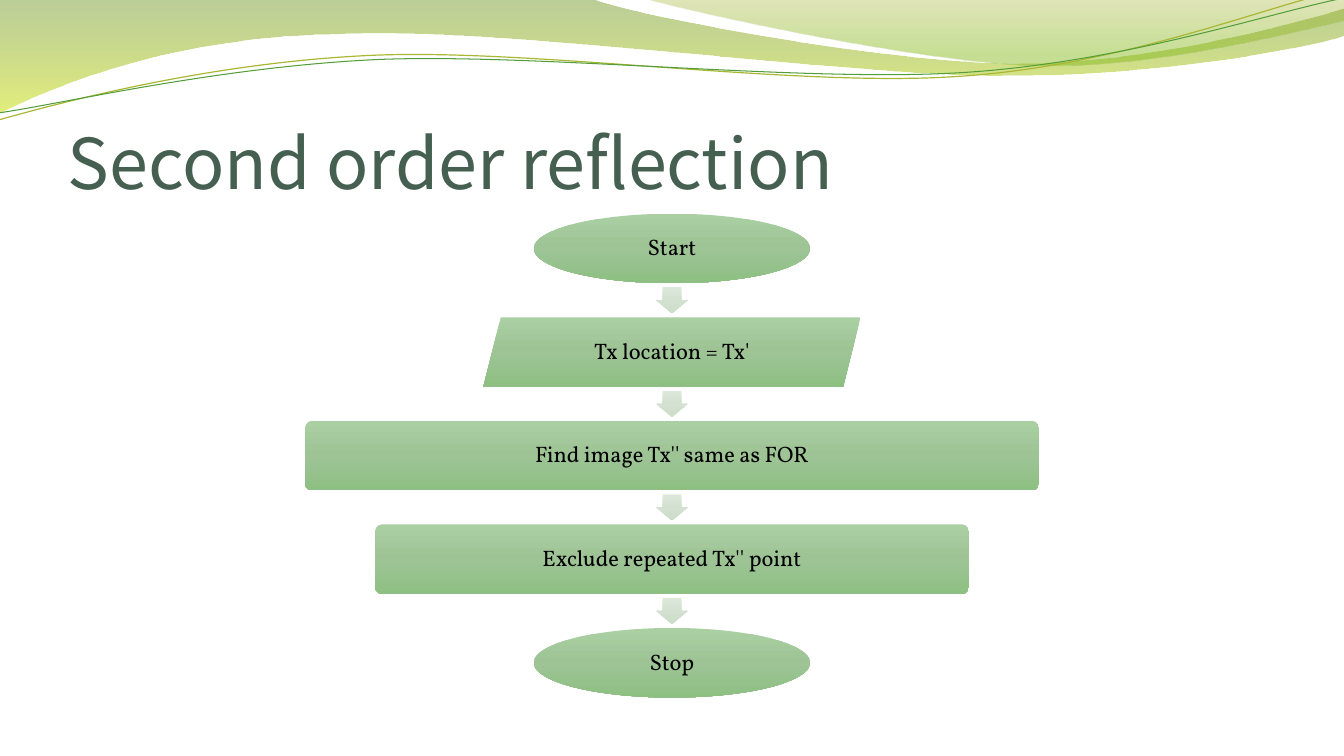
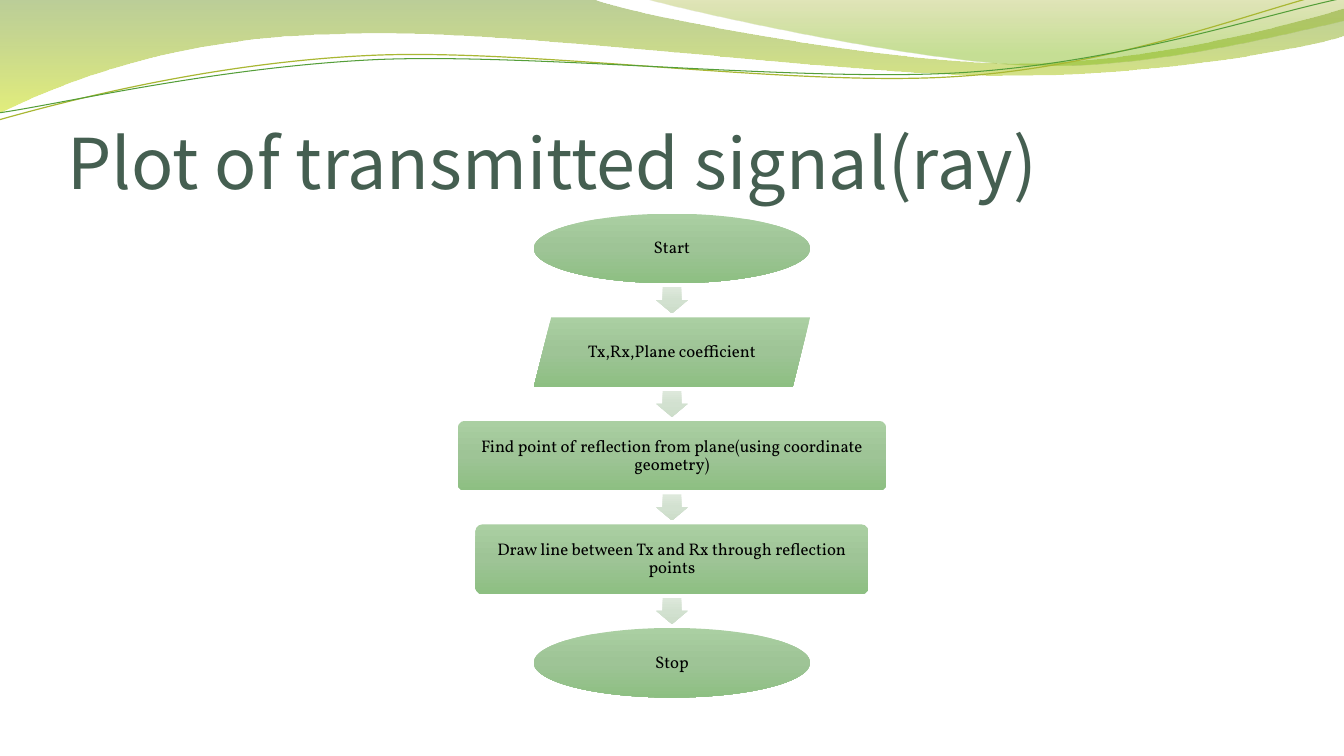
import math

import pptx
import pptx.dml.color
import pptx.enum.shapes
import pptx.enum.text
import pptx.oxml
import pptx.oxml.ns
import pptx.util

# Shared measures, 100 px to the inch
EMU_PER_PX = 9144
SLIDE_WIDTH, SLIDE_HEIGHT = 1333, 750
FIRST_TOP, LAST_TOP = 212, 623
STEP_HEIGHT = 69
ARROW_WIDTH, ARROW_HEIGHT = 31, 26

# Shared look
TITLE_FONT, BODY_FONT = "Noto Sans CJK SC", "Vollkorn"
TITLE_COLOUR, TEXT_COLOUR = "455F51", "000000"

# Gradient stops, top to bottom: position %, colour, opacity %
STEP_STOPS = [(0, "AACFA2", 100), (50, "9EC496", 100), (100, "8DBF82", 100)]
ARROW_STOPS = [(0, "DDE8DB", 100), (50, "D2E1D0", 100), (100, "CCDDC9", 100)]

# Waves: a start point, then lines (x, y) and curves (two controls, end)
WAVE_FILLS = [
    ([(0, 0), (587, -1),
      (634, 17, 884, 63, 1011, 63), (1137, 63, 1277, 26, 1333, 9),
      (1334, 36),
      (1311, 44, 1159, 76, 994, 75), (829, 75, 509, 28, 343, 34),
      (172, 36, 61, 83, -2, 113), (0, 0)],
     [(0, "69921C", 45), (100, "CCE10F", 55)]),
    ([(638, -1),
      (679, 11, 909, 62, 1025, 65), (1140, 69, 1282, 32, 1333, 21),
      (1333, 0), (638, -1)],
     [(0, "9BAA1A", 30), (80, "81BA16", 45)]),
]
WAVE_TILT = 357.3
WAVE_PIVOT = (666, 58)
WAVE_LINES = [
    ([(-1, 119), (63, 101, 210, 62, 369, 55), (527, 48, 789, 87, 949, 76),
      (1110, 66, 1251, 8, 1330, -10)], "A9B733", 0.85),
    ([(-1, 112), (62, 103, 218, 66, 377, 59), (537, 53, 796, 82, 955, 72),
      (1114, 62, 1255, 14, 1333, -2)], "549E39", 0.75),
]

# Slides: title, text size, inset, steps (kind, width, text)
SLIDES = [
    ("Second order reflection", 16, 7, [
        ("terminal", 274, "Start"),
        ("data", 374, "Tx location = Tx'"),
        ("process", 728, "Find image Tx'' same as FOR"),
        ("process", 589, "Exclude repeated Tx'' point"),
        ("terminal", 274, "Stop"),
    ]),
    ("Plot of transmitted signal(ray)", 12, 5, [
        ("terminal", 274, "Start"),
        ("data", 274, "Tx,Rx,Plane coefficient"),
        ("process", 425, "Find point of reflection from plane"
                         "(using coordinate geometry)"),
        ("process", 390, "Draw line between Tx and Rx through "
                         "reflection points"),
        ("terminal", 274, "Stop"),
    ]),
]

SHAPE_KINDS = pptx.enum.shapes.MSO_SHAPE
STEP_KINDS = {
    "terminal": SHAPE_KINDS.OVAL,
    "data": SHAPE_KINDS.PARALLELOGRAM,
    "process": SHAPE_KINDS.ROUNDED_RECTANGLE,
}


def px(length):
    return pptx.util.Emu(round(length * EMU_PER_PX))


def colour(hex_text):
    return pptx.dml.color.RGBColor.from_string(hex_text)


def fill_gradient(shape, stops):
    """Fill from top to bottom, with any number of stops."""
    shape.fill.gradient()
    shape.fill.gradient_angle = 270
    stop_list = next(shape._element.iter(pptx.oxml.ns.qn("a:gsLst")))
    for stop in list(stop_list):
        stop_list.remove(stop)
    for position, hex_text, opacity in stops:
        stop_list.append(pptx.oxml.parse_xml(
            f'<a:gs {pptx.oxml.ns.nsdecls("a")} pos="{position * 1000}">'
            f'<a:srgbClr val="{hex_text}"><a:alpha val="{opacity * 1000}"/>'
            f'</a:srgbClr></a:gs>'))


def points_of(segment):
    return list(zip(segment[::2], segment[1::2]))


def level(segments):
    """Undo the tilt, so that the shape's own rotation restores it."""
    angle = math.radians(-WAVE_TILT)
    cosine, sine = math.cos(angle), math.sin(angle)
    pivot_x, pivot_y = WAVE_PIVOT
    levelled = []
    for segment in segments:
        flat = []
        for x, y in points_of(segment):
            dx, dy = x - pivot_x, y - pivot_y
            flat += [pivot_x + dx * cosine - dy * sine,
                     pivot_y + dx * sine + dy * cosine]
        levelled.append(tuple(flat))
    return levelled


def add_outline(page, segments, close):
    """Draw through the end points, then bend the curved segments."""
    ends = [(px(segment[-2]), px(segment[-1])) for segment in segments]
    builder = page.shapes.build_freeform(*ends[0])
    builder.add_line_segments(ends[1:], close=close)
    shape = builder.convert_to_shape()
    shape.shadow.inherit = False
    lines = list(shape._element.iter(pptx.oxml.ns.qn("a:lnTo")))
    for line, segment in zip(lines, segments[1:]):
        if len(segment) == 6:
            points = "".join(
                f'<a:pt x="{px(x) - shape.left}" y="{px(y) - shape.top}"/>'
                for x, y in points_of(segment))
            line.getparent().replace(line, pptx.oxml.parse_xml(
                f'<a:cubicBezTo {pptx.oxml.ns.nsdecls("a")}>{points}'
                f'</a:cubicBezTo>'))
    return shape


def add_waves(page):
    for segments, stops in WAVE_FILLS:
        wave = add_outline(page, segments, True)
        fill_gradient(wave, stops)
        wave.line.fill.background()
    for segments, hex_text, width in WAVE_LINES:
        wave = add_outline(page, level(segments), False)
        wave.rotation = WAVE_TILT
        wave.fill.background()
        wave.line.color.rgb = colour(hex_text)
        wave.line.width = pptx.util.Pt(width)


def write(shape, text, font, size, hex_text, insets):
    frame = shape.text_frame
    frame.word_wrap = True
    (frame.margin_left, frame.margin_top,
     frame.margin_right, frame.margin_bottom) = map(px, insets)
    para = frame.paragraphs[0]
    para.text = text
    para.font.name = font
    para.font.size = pptx.util.Pt(size)
    para.font.color.rgb = colour(hex_text)
    return frame, para


def add_title(page, text):
    box = page.shapes.add_textbox(px(67), px(77), px(1200), px(125))
    frame, _ = write(box, text, TITLE_FONT, 50, TITLE_COLOUR, (0, 5, 0, 0))
    frame.vertical_anchor = pptx.enum.text.MSO_ANCHOR.BOTTOM


def add_centred(page, kind, top, width, height, stops):
    shape = page.shapes.add_shape(
        kind, px((SLIDE_WIDTH - width) / 2), px(top), px(width), px(height))
    shape.shadow.inherit = False
    shape.line.fill.background()
    fill_gradient(shape, stops)
    return shape


def add_step(page, kind, top, width, text, size, inset):
    step = add_centred(page, STEP_KINDS[kind], top, width, STEP_HEIGHT,
                       STEP_STOPS)
    if kind == "process":
        step.adjustments[0] = 0.1
    frame, para = write(step, text, BODY_FONT, size, TEXT_COLOUR, [inset] * 4)
    frame.vertical_anchor = pptx.enum.text.MSO_ANCHOR.MIDDLE
    para.alignment = pptx.enum.text.PP_ALIGN.CENTER
    para.line_spacing = 0.9


def add_arrow(page, top):
    arrow = add_centred(page, SHAPE_KINDS.DOWN_ARROW, top, ARROW_WIDTH,
                        ARROW_HEIGHT, ARROW_STOPS)
    arrow.adjustments[0] = 0.6
    arrow.adjustments[1] = 0.5


def add_flow(page, steps, size, inset):
    pitch = (LAST_TOP - FIRST_TOP) / (len(steps) - 1)
    arrow_offset = (pitch + STEP_HEIGHT - ARROW_HEIGHT) / 2
    for index, (kind, width, text) in enumerate(steps):
        top = FIRST_TOP + index * pitch
        add_step(page, kind, top, width, text, size, inset)
        if index < len(steps) - 1:
            add_arrow(page, top + arrow_offset)


def main():
    deck = pptx.Presentation()
    deck.slide_width, deck.slide_height = px(SLIDE_WIDTH), px(SLIDE_HEIGHT)
    for title, size, inset, steps in SLIDES:
        page = deck.slides.add_slide(deck.slide_layouts[6])
        add_waves(page)
        add_title(page, title)
        add_flow(page, steps, size, inset)
    deck.save("out.pptx")


if __name__ == "__main__":
    main()
